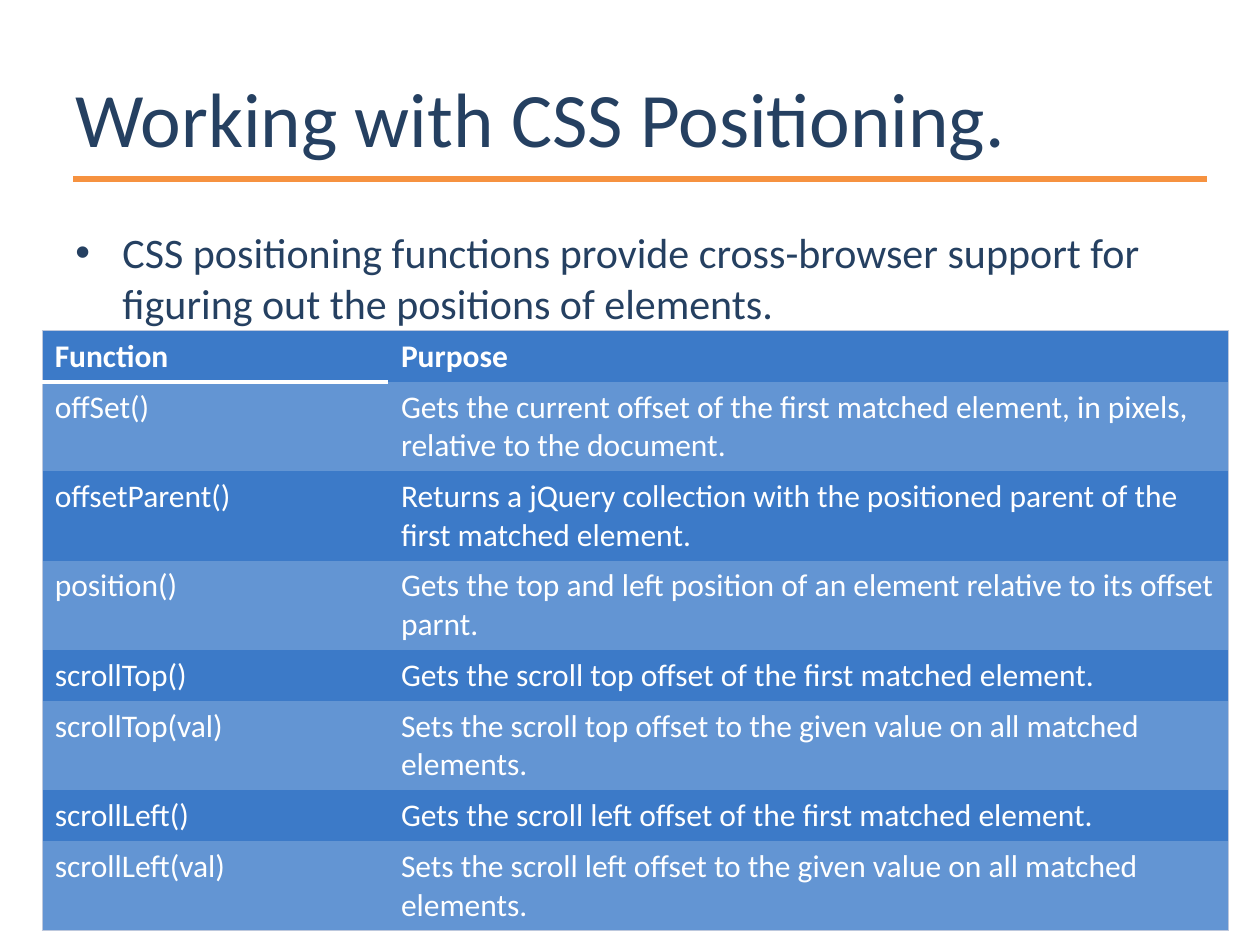
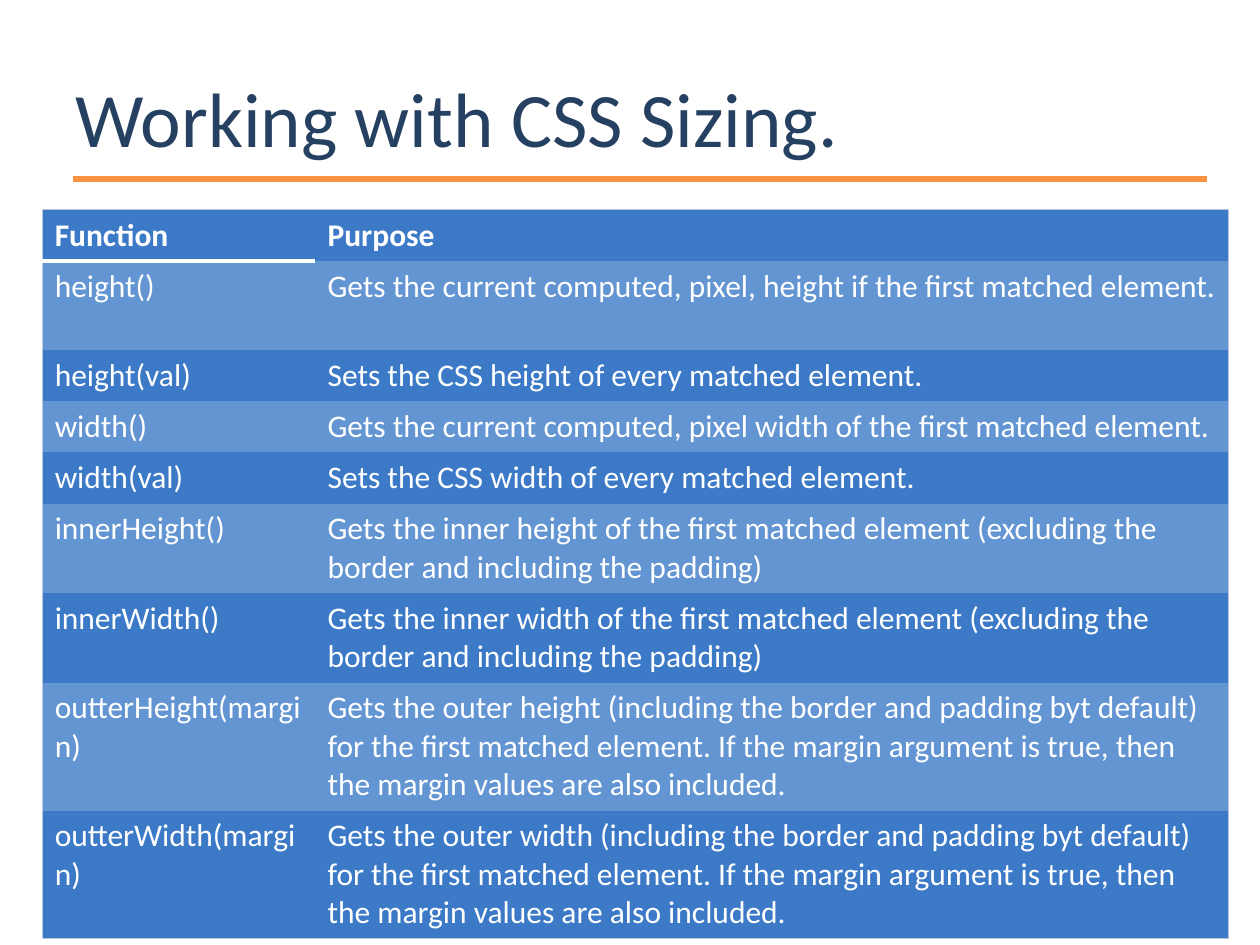
from dataclasses import dataclass

from lxml import etree
from pptx import Presentation
from pptx import util as u
from pptx.dml import color
from pptx.enum import shapes, text
from pptx.oxml import ns

NO_STYLE_NO_GRID = "{2D5ABB26-0587-4C30-8999-92F81FD0307C}"


@dataclass(frozen=True)
class Theme:
    font: str = "Calibri"
    navy: str = "254061"
    orange: str = "F69240"
    white: str = "FFFFFF"
    border: str = "BDC8DD"
    row_dark: str = "3C7AC8"
    row_light: str = "6395D3"
    title_size: int = 44
    body_size: int = 24
    table_size: int = 18


def add_xml(parent, tag, **attributes):
    return etree.SubElement(parent, ns.qn(tag), attributes)


class Deck:
    """Holds the theme and the current slide."""

    def __init__(self, theme):
        self.theme = theme
        self.presentation = Presentation()
        self.presentation.slide_width = u.Cm(25.4)
        self.presentation.slide_height = u.Cm(19.05)
        self.slide = None

    def format_font(self, paragraph, size, rgb, bold=False):
        font = paragraph.font
        font.name, font.size, font.bold = self.theme.font, u.Pt(size), bold
        font.color.rgb = color.RGBColor.from_string(rgb)

    # Title with the rule under it
    def add_slide(self, title):
        layout = self.presentation.slide_layouts.get_by_name("Title Only")
        self.slide = self.presentation.slides.add_slide(layout)
        shape = self.slide.shapes.title
        shape.left, shape.top = u.Cm(1.27), u.Cm(0.76)
        shape.width, shape.height = u.Cm(22.86), u.Cm(3.18)
        frame = shape.text_frame
        frame.text = title
        frame.vertical_anchor = text.MSO_ANCHOR.MIDDLE
        paragraph = frame.paragraphs[0]
        paragraph.alignment = text.PP_ALIGN.LEFT
        self.format_font(paragraph, self.theme.title_size, self.theme.navy)
        self.add_rule(1.48, 3.61, 22.86)

    def add_rule(self, left, top, width):
        rule = self.slide.shapes.add_connector(
            shapes.MSO_CONNECTOR.STRAIGHT,
            u.Cm(left), u.Cm(top), u.Cm(left + width), u.Cm(top))
        rule.line.color.rgb = color.RGBColor.from_string(self.theme.orange)
        rule.line.width = u.Pt(3)
        add_xml(rule._element.spPr, "a:effectLst")

    def add_bullet(self, wording, left, top, width, height):
        shape = self.slide.shapes.add_textbox(
            u.Cm(left), u.Cm(top), u.Cm(width), u.Cm(height))
        frame = shape.text_frame
        frame.word_wrap = True
        frame.text = wording
        paragraph = frame.paragraphs[0]
        paragraph.space_before = u.Pt(0.2 * self.theme.body_size)
        self.format_font(paragraph, self.theme.body_size, self.theme.navy)
        properties = paragraph._p.get_or_add_pPr()
        indent = u.Cm(0.95)
        properties.set("marL", str(indent))
        properties.set("indent", str(-indent))
        bullet_font = etree.Element(ns.qn("a:buFont"), typeface="Arial")
        bullet = etree.Element(ns.qn("a:buChar"), char="•")
        spacing = properties.find(ns.qn("a:spcBef"))
        spacing.addnext(bullet_font)
        bullet_font.addnext(bullet)

    # Function table: each row is (function, purpose, number of text lines)
    def add_function_table(self, top, widths, functions):
        rows = [("Function", "Purpose", 1), *functions]
        heights = [u.Cm(1.03 + 0.77 * (lines - 1)) for *_, lines in rows]
        frame = self.slide.shapes.add_table(
            len(rows), len(widths), u.Cm(0.85), u.Cm(top),
            u.Cm(sum(widths)), sum(heights))
        table = frame.table
        table._tbl.tblPr.find(ns.qn("a:tableStyleId")).text = NO_STYLE_NO_GRID
        for column, width in zip(table.columns, widths):
            column.width = u.Cm(width)
        last = len(rows) - 1
        for row, (*wording, _) in enumerate(rows):
            table.rows[row].height = heights[row]
            for column, words in enumerate(wording):
                self.fill_cell(table.cell(row, column), words, row, column, last)

    def fill_cell(self, cell, words, row, column, last):
        theme = self.theme
        cell.text = words
        self.format_font(cell.text_frame.paragraphs[0], theme.table_size,
                         theme.white, bold=row == 0)
        self.add_border(cell, "a:lnL" if column == 0 else "a:lnR")
        if row == 0:
            self.add_border(cell, "a:lnT")
            if column == 0:
                self.add_border(cell, "a:lnB", theme.white, 3)
        elif row == last:
            self.add_border(cell, "a:lnB")
        cell.fill.solid()
        cell.fill.fore_color.rgb = color.RGBColor.from_string(
            theme.row_light if row % 2 else theme.row_dark)

    def add_border(self, cell, side, rgb=None, width=0.75):
        properties = cell._tc.get_or_add_tcPr()
        line = add_xml(properties, side, w=str(u.Pt(width)))
        fill = add_xml(line, "a:solidFill")
        add_xml(fill, "a:srgbClr", val=rgb or self.theme.border)


POSITIONING = [
    ("offSet()", "Gets the current offset of the first matched element, "
     "in pixels, relative to the document.", 2),
    ("offsetParent()", "Returns a jQuery collection with the positioned "
     "parent of the first matched element.", 2),
    ("position()", "Gets the top and left position of an element relative "
     "to its offset parnt.", 2),
    ("scrollTop()",
     "Gets the scroll top offset of the first matched element.", 1),
    ("scrollTop(val)", "Sets the scroll top offset to the given value on "
     "all matched elements.", 2),
    ("scrollLeft()",
     "Gets the scroll left offset of the first matched element.", 1),
    ("scrollLeft(val)", "Sets the scroll left offset to the given value on "
     "all matched elements.", 2),
]

INNER = ("Gets the inner {} of the first matched element (excluding the "
         "border and including the padding)")
OUTER = ("Gets the outer {} (including the border and padding byt default) "
         "for the first matched element. If the margin argument is true, "
         "then the margin values are also included.")
SIZING = [
    ("height()", "Gets the current computed, pixel, height if the first "
     "matched element.", 2),
    ("height(val)", "Sets the CSS height of every matched element.", 1),
    ("width()", "Gets the current computed, pixel width of the first "
     "matched element.", 1),
    ("width(val)", "Sets the CSS width of every matched element.", 1),
    ("innerHeight()", INNER.format("height"), 2),
    ("innerWidth()", INNER.format("width"), 2),
    ("outterHeight(margin)", OUTER.format("height"), 3),
    ("outterWidth(margin)", OUTER.format("width"), 3),
]


def main():
    deck = Deck(Theme())

    # Positioning functions
    deck.add_slide("Working with CSS Positioning.")
    deck.add_bullet("CSS positioning functions provide cross-browser support "
                    "for figuring out the positions of elements.",
                    1.27, 4.45, 22.86, 12.57)
    deck.add_function_table(6.67, (6.98, 16.94), POSITIONING)

    # Sizing functions
    deck.add_slide("Working with CSS Sizing.")
    deck.add_function_table(4.23, (5.5, 18.42), SIZING)

    deck.presentation.save("out.pptx")


if __name__ == "__main__":
    main()
